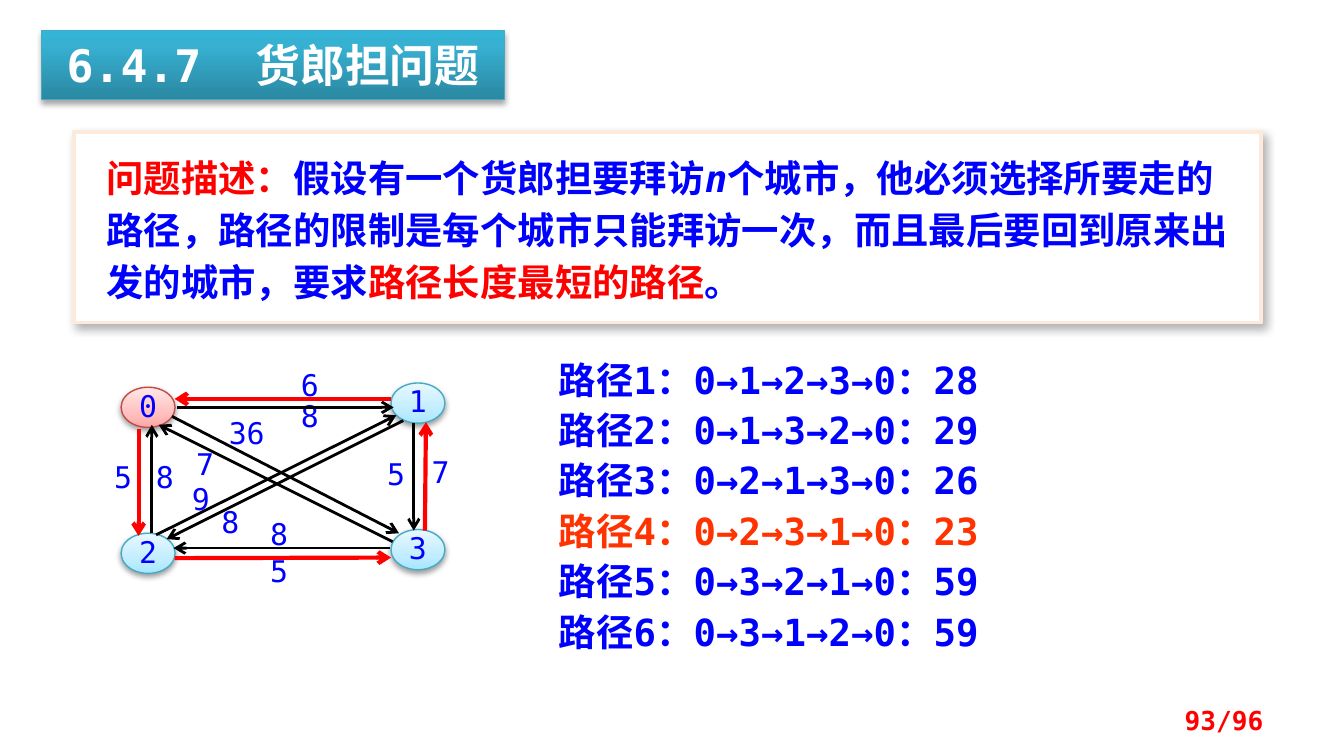
from dataclasses import dataclass
from typing import NamedTuple

from pptx import Presentation
from pptx.dml.color import RGBColor
from pptx.enum.shapes import MSO_CONNECTOR, MSO_SHAPE
from pptx.enum.text import MSO_ANCHOR, MSO_AUTO_SIZE, PP_ALIGN
from pptx.oxml.ns import qn
from pptx.oxml.xmlchemy import OxmlElement
from pptx.util import Cm, Pt

RECTANGLE, OVAL = MSO_SHAPE.RECTANGLE, MSO_SHAPE.OVAL
STRAIGHT = MSO_CONNECTOR.STRAIGHT
LEFT, CENTER, RIGHT = PP_ALIGN.LEFT, PP_ALIGN.CENTER, PP_ALIGN.RIGHT
TOP, MIDDLE = MSO_ANCHOR.TOP, MSO_ANCHOR.MIDDLE
NO_INSETS = (0, 0, 0, 0)
DEFAULT_INSETS = (0.25, 0.13, 0.25, 0.13)


@dataclass(frozen=True)
class Theme:
    latin: str = "DejaVu Sans Mono"
    east_asian: str = "Noto Sans CJK SC"
    blue: str = "0000FF"
    red: str = "FF0000"
    orange: str = "FF3300"
    black: str = "000000"
    white: str = "FFFFFF"
    panel_line: str = "FDEADA"
    teal_line: str = "46AAC5"
    start_line: str = "BF4C48"
    title_stops: tuple = ((0, "2A88A2"), (80, "37B1D2"), (100, "34B4D6"))
    city_stops: tuple = ((0, "A7E6FF"), (35, "C1EDFF"), (100, "E7F8FF"))
    start_stops: tuple = ((0, "FFA6A5"), (35, "FFC0BF"), (100, "FFE7E7"))
    title_size: int = 24
    body_size: int = 20
    graph_size: int = 16
    page_size: int = 14


THEME = Theme()


class Box(NamedTuple):
    left: float
    top: float
    width: float
    height: float


class Shadow(NamedTuple):
    alpha: int
    blur: float
    distance: float
    direction: int


class City(NamedTuple):
    name: str
    left: float
    top: float
    is_start: bool = False


class Weight(NamedTuple):
    text: str
    left: float
    top: float


class Road(NamedTuple):
    x1: float
    y1: float
    x2: float
    y2: float
    is_best: bool = False


class Tour(NamedTuple):
    cities: str
    length: int
    is_best: bool = False


CITIES = [City("0", 2.29, 7.32, True), City("2", 2.29, 10.08),
          City("1", 7.39, 7.24), City("3", 7.39, 10.01)]
WEIGHTS = [
    Weight("8", 4.01, 9.6), Weight("9", 3.45, 9.17), Weight("7", 3.53, 8.51),
    Weight("36", 4.32, 7.92), Weight("8", 2.77, 8.74), Weight("5", 1.98, 8.74),
    Weight("8", 5.51, 7.59), Weight("6", 5.51, 7.01), Weight("5", 4.93, 10.52),
    Weight("8", 4.93, 9.83), Weight("7", 7.98, 8.66), Weight("5", 7.14, 8.69),
]
ROADS = [
    Road(3.35, 7.7, 7.44, 7.7), Road(7.39, 7.54, 3.3, 7.54, True),
    Road(3.3, 10.55, 7.39, 10.54, True), Road(7.37, 10.36, 3.28, 10.36),
    Road(2.62, 8.1, 2.62, 10.13, True), Road(2.87, 10.08, 2.87, 8.03),
    Road(7.82, 8, 7.82, 10.03), Road(8.03, 10.03, 8.05, 7.98, True),
    Road(3.25, 7.87, 7.54, 10.08), Road(7.42, 10.24, 3, 8.03),
    Road(2.95, 10.11, 7.49, 7.85), Road(7.62, 7.95, 3.15, 10.19),
]
TOURS = [Tour("01230", 28), Tour("01320", 29), Tour("02130", 26),
         Tour("02310", 23, True), Tour("03210", 59), Tour("03120", 59)]


def add_element(parent, tag: str, **attributes):
    element = OxmlElement(tag)
    for name, value in attributes.items():
        element.set(name, str(value))
    parent.append(element)
    return element


def place(shape, box: Box) -> None:
    shape.left, shape.top, shape.width, shape.height = map(Cm, box)


def set_frame(shape, insets=DEFAULT_INSETS, anchor=TOP, wrap: bool = True):
    frame = shape.text_frame
    frame.auto_size = MSO_AUTO_SIZE.NONE
    frame.word_wrap, frame.vertical_anchor = wrap, anchor
    (frame.margin_left, frame.margin_top,
     frame.margin_right, frame.margin_bottom) = map(Cm, insets)
    return frame


def set_paragraph(paragraph, alignment=LEFT, spacing: int = 0) -> None:
    paragraph.alignment = alignment
    paragraph.space_before = Pt(0)
    if spacing:
        paragraph.line_spacing = Pt(spacing)


def add_run(paragraph, text: str, size: int, color: str,
            bold: bool = False, italic: bool = False) -> None:
    run = paragraph.add_run()
    run.text = text
    font = run.font
    font.size, font.bold, font.italic = Pt(size), bold, italic
    font.color.rgb = RGBColor.from_string(color)
    font.name = THEME.latin
    add_element(run._r.get_or_add_rPr(), "a:ea", typeface=THEME.east_asian)


def set_line(shape, color: str, width: float) -> None:
    shape.line.color.rgb = RGBColor.from_string(color)
    shape.line.width = Pt(width)


def set_solid(shape, color: str) -> None:
    shape.fill.solid()
    shape.fill.fore_color.rgb = RGBColor.from_string(color)


def set_gradient(shape, stops: tuple) -> None:
    """Upward gradient with any number of stops."""
    shape.fill.gradient()
    shape.fill.gradient_angle = 90
    stop_list = shape._element.spPr.find(".//" + qn("a:gsLst"))
    stop_list.clear()
    for position, color in stops:
        stop = add_element(stop_list, "a:gs", pos=position * 1000)
        add_element(stop, "a:srgbClr", val=color)


def set_shadow(shape, shadow: Shadow) -> None:
    shape.shadow.inherit = False
    effects = shape._element.spPr.find(qn("a:effectLst"))
    outer = add_element(effects, "a:outerShdw", blurRad=Pt(shadow.blur),
                        dist=Pt(shadow.distance), dir=shadow.direction * 60000,
                        algn="ctr", rotWithShape=0)
    color = add_element(outer, "a:srgbClr", val=THEME.black)
    add_element(color, "a:alpha", val=shadow.alpha * 1000)


def add_graph_shape(slide, kind, box: Box, text: str, anchor=TOP):
    shape = slide.shapes.add_shape(kind, *map(Cm, box))
    shape.shadow.inherit = False
    paragraph = set_frame(shape, NO_INSETS, anchor, wrap=False).paragraphs[0]
    set_paragraph(paragraph, CENTER, 17)
    add_run(paragraph, text, THEME.graph_size, THEME.blue)
    return shape


def add_weight(slide, weight: Weight) -> None:
    box = Box(weight.left, weight.top, 0.69, 0.51)
    shape = add_graph_shape(slide, RECTANGLE, box, weight.text)
    set_solid(shape, THEME.white)
    shape.line.fill.background()


def add_city(slide, city: City) -> None:
    box = Box(city.left, city.top, 1.02, 0.76)
    shape = add_graph_shape(slide, OVAL, box, city.name, MIDDLE)
    set_gradient(shape, THEME.start_stops if city.is_start else THEME.city_stops)
    set_line(shape, THEME.start_line if city.is_start else THEME.teal_line, 0.75)
    set_shadow(shape, Shadow(38, 3.1, 1.6, 90))


def add_road(slide, road: Road) -> None:
    connector = slide.shapes.add_connector(STRAIGHT, *map(Cm, road[:4]))
    set_line(connector, THEME.red if road.is_best else THEME.black,
             2.25 if road.is_best else 1.5)
    properties = connector._element.spPr
    add_element(properties.find(qn("a:ln")), "a:tailEnd", type="arrow")
    add_element(properties, "a:effectLst")


def add_description(slide) -> None:
    panel = slide.shapes.add_shape(RECTANGLE, *map(Cm, Box(1.4, 2.49, 22.43, 3.61)))
    set_solid(panel, THEME.white)
    set_line(panel, THEME.panel_line, 2)
    set_shadow(panel, Shadow(30, 4.5, 2.6, 53))
    paragraph = set_frame(panel, (0.61, 0.3, 0.25, 0.3)).paragraphs[0]
    set_paragraph(paragraph, LEFT, 28)
    for text, color, italic in [
        ("问题描述：", THEME.red, False),
        ("假设有一个货郎担要拜访", THEME.blue, False),
        ("n", THEME.blue, True),
        ("个城市，他必须选择所要走的路径，路径的限制是每个城市只能拜访一次，"
         "而且最后要回到原来出发的城市，要求", THEME.blue, False),
        ("路径长度最短的路径", THEME.red, False),
        ("。", THEME.blue, False),
    ]:
        add_run(paragraph, text, THEME.body_size, color, True, italic)


def fill_title(title) -> None:
    place(title, Box(0.79, 0.58, 8.74, 1.3))
    set_gradient(title, THEME.title_stops)
    set_line(title, THEME.teal_line, 0.75)
    set_shadow(title, Shadow(35, 3.1, 1.8, 90))
    paragraph = set_frame(title, anchor=MIDDLE).paragraphs[0]
    set_paragraph(paragraph, CENTER, 28)
    add_run(paragraph, "6.4.7  货郎担问题", THEME.title_size, THEME.white, True)


def fill_tours(body) -> None:
    place(body, Box(10.31, 6.86, 12.5, 6.05))
    frame = set_frame(body)
    for number, tour in enumerate(TOURS, start=1):
        paragraph = frame.paragraphs[0] if number == 1 else frame.add_paragraph()
        properties = paragraph._p.get_or_add_pPr()
        properties.set("marL", "0")
        properties.set("indent", "0")
        add_element(properties, "a:buNone")
        set_paragraph(paragraph, LEFT, 17)
        if number > 1:
            paragraph.space_before = Pt(10)
        text = f"路径{number}：{'→'.join(tour.cities)}：{tour.length}"
        add_run(paragraph, text, THEME.body_size,
                THEME.orange if tour.is_best else THEME.blue, True)


def add_page_number(slide) -> None:
    box = slide.shapes.add_textbox(*map(Cm, Box(18.21, 13.23, 5.92, 0.76)))
    paragraph = set_frame(box, anchor=MIDDLE).paragraphs[0]
    set_paragraph(paragraph, RIGHT)
    add_run(paragraph, "93/96", THEME.page_size, THEME.red, True)


def main() -> None:
    presentation = Presentation()
    presentation.slide_width, presentation.slide_height = Cm(25.4), Cm(14.29)
    slide = presentation.slides.add_slide(presentation.slide_layouts[1])

    # Heading and problem statement
    fill_title(slide.shapes.title)
    add_description(slide)

    # City graph: weights lie below the cities and roads
    for weight in WEIGHTS:
        add_weight(slide, weight)
    for city in CITIES:
        add_city(slide, city)
    for road in ROADS:
        add_road(slide, road)

    # Tour list and page number
    fill_tours(slide.placeholders[1])
    add_page_number(slide)
    presentation.save("out.pptx")


if __name__ == "__main__":
    main()
